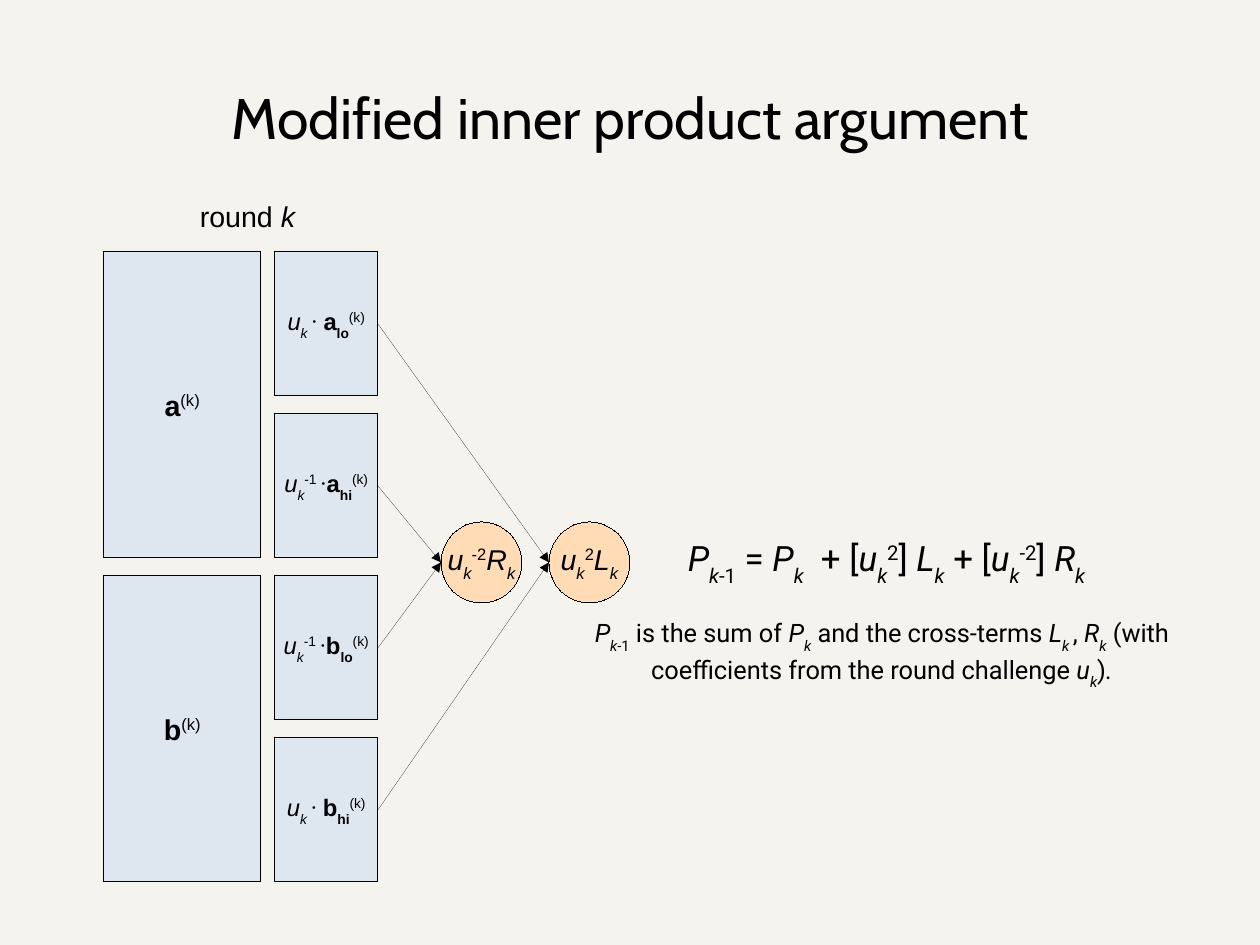
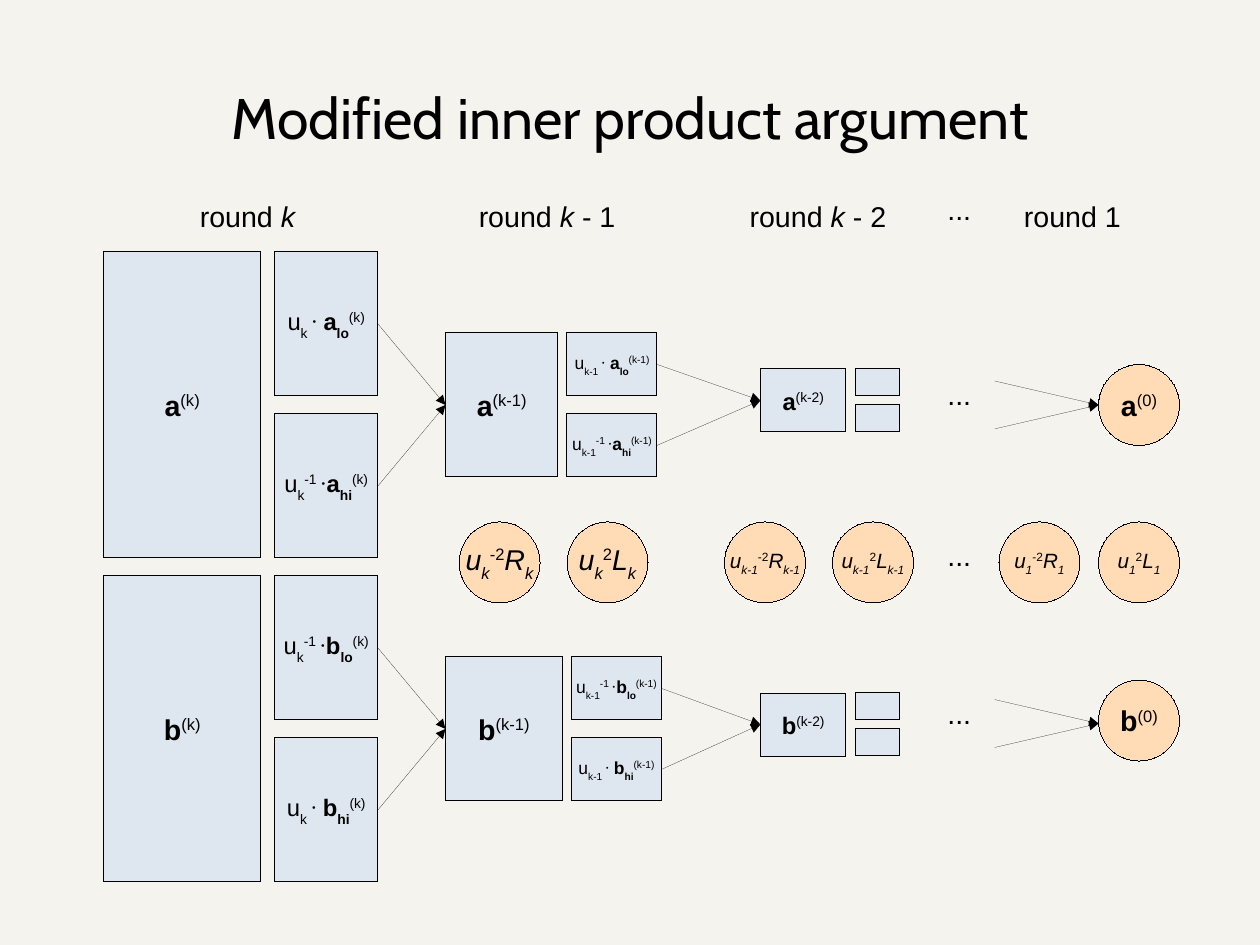
from dataclasses import dataclass

from lxml.etree import SubElement
from pptx import Presentation
from pptx.dml.color import RGBColor
from pptx.enum.shapes import MSO_CONNECTOR as Link, MSO_SHAPE as Preset
from pptx.enum.text import MSO_ANCHOR as Anchor, MSO_AUTO_SIZE as Fit, PP_ALIGN as Align
from pptx.oxml.ns import qn
from pptx.util import Pt


@dataclass(frozen=True)
class Theme:
    paper: str = "F4F3ED"
    ink: str = "000000"
    vector: str = "DEE6EF"
    cross_term: str = "FFDBB6"
    title_font: str = "Cabin"
    diagram_font: str = "Arial"
    prose_font: str = "Roboto"
    title: int = 36
    formula: int = 22
    label: int = 18
    note: int = 16
    half: int = 15
    small_term: int = 13
    small_half: int = 11


@dataclass(frozen=True)
class Round:
    """One column of the folding: a whole vector beside its two halves."""
    index: str
    left: float
    widths: dict
    height: float
    half_width: float
    side_gap: float
    split_gap: float
    size: int
    half_size: int = 0  # 0 leaves the halves unlabelled
    lift: float = 0


THEME = Theme()
TITLE = "Modified inner product argument"

# Shared geometry, in points
MIDDLES = {"a": 255.1, "b": 459.2}
TERM_MIDDLE = 354.3
DIAMETER = 51
LABEL_TOP, LABEL_HEIGHT = 121.7, 27.4
DOTS_LEFT, DOTS_WIDTH = 589.7, 29.5

ROUND_K = Round("k", 65.2, {"a": 99.2, "b": 99.2}, 192.8, 65.2, 8.5, 11.3,
                THEME.label, THEME.half)
ROUND_K1 = Round("k-1", 280.6, {"a": 70.9, "b": 73.7}, 90.7, 56.7, 5.7, 11.3,
                 THEME.label, THEME.small_half)
ROUND_K2 = Round("k-2", 479, {"a": 53.9, "b": 53.9}, 39.7, 28.3, 5.7, 5.7,
                 THEME.half, lift=2.8)


# Text: a run is (text, flags); i italic, b bold, r prose font, _ sub, ^ super
def write(shape, runs, size=THEME.label, font=THEME.diagram_font,
          align=Align.CENTER, anchor=Anchor.MIDDLE, wrap=False):
    frame = shape.text_frame
    frame.word_wrap = wrap
    frame.vertical_anchor = anchor
    paragraph = frame.paragraphs[0]
    paragraph.alignment = align
    for text, flags in runs:
        run = paragraph.add_run()
        run.text = text
        run.font.size = Pt(size)
        run.font.name = THEME.prose_font if "r" in flags else font
        run.font.color.rgb = RGBColor.from_string(THEME.ink)
        run.font.italic = "i" in flags
        run.font.bold = "b" in flags
        for flag, baseline in (("_", "-33000"), ("^", "33000")):
            if flag in flags:
                run.font._element.set("baseline", baseline)


def term(symbol, index, power="", style="i"):
    runs = [(symbol, style), (index, style + "_")]
    return runs + [(power, "^")] if power else runs


def text_area(slide, left, top, width, height, runs, **style):
    area = slide.shapes.add_textbox(Pt(left), Pt(top), Pt(width), Pt(height))
    write(area, runs, **style)
    if not area.text_frame.word_wrap:
        area.text_frame.auto_size = Fit.SHAPE_TO_FIT_TEXT
    return area


def hairline(line):
    line.color.rgb = RGBColor.from_string(THEME.ink)
    stroke = line._get_or_add_ln()
    stroke.set("w", "0")  # written out, or the style's width would apply
    return stroke


def outlined(slide, preset, left, top, width, height, fill, runs=(), **style):
    shape = slide.shapes.add_shape(preset, Pt(left), Pt(top), Pt(width), Pt(height))
    shape.shadow.inherit = False
    shape.fill.solid()
    shape.fill.fore_color.rgb = RGBColor.from_string(fill)
    hairline(shape.line)
    write(shape, runs, **style)


def arrow(slide, start, end):
    link = slide.shapes.add_connector(Link.STRAIGHT, *map(Pt, (*start, *end)))
    SubElement(hairline(link.line), qn("a:tailEnd"), type="triangle")
    SubElement(link._element.spPr, qn("a:effectLst"))


def circle(slide, left, middle, runs, size=THEME.label):
    outlined(slide, Preset.OVAL, left, middle - DIAMETER / 2, DIAMETER, DIAMETER,
             THEME.cross_term, runs, size=size)


def cross_terms(slide, index, right_left, left_left, size=THEME.label):
    for symbol, power, left in (("L", "2", left_left), ("R", "-2", right_left)):
        circle(slide, left, TERM_MIDDLE,
               term("u", index, power) + term(symbol, index), size)


def half_runs(name, part, index, style):
    inverted = (name, part) in (("a", "hi"), ("b", "lo"))
    if inverted:
        factor = term("u", index, "-1 ", style) + [("·", "r")]
    else:
        factor = term("u", index + " ", style=style) + [("· ", "r")]
    return factor + [(name, "b"), (part, "b_"), (f"({index})", "^")]


def folded_vector(slide, name, stage, style=""):
    """Draw a vector and its halves; return where arrows leave the halves."""
    top = MIDDLES[name] - stage.lift - stage.height / 2
    width = stage.widths[name]
    outlined(slide, Preset.RECTANGLE, stage.left, top, width, stage.height, THEME.vector,
             [(name, "b"), (f"({stage.index})", "^")], size=stage.size)
    half_left = stage.left + width + stage.side_gap
    half_height = (stage.height - stage.split_gap) / 2
    exits = []
    for row, part in enumerate(("lo", "hi")):
        half_top = top + row * (half_height + stage.split_gap)
        runs = half_runs(name, part, stage.index, style) if stage.half_size else ()
        outlined(slide, Preset.RECTANGLE, half_left, half_top, stage.half_width, half_height,
                 THEME.vector, runs, size=stage.half_size)
        exits.append((half_left + stage.half_width, half_top + half_height / 2))
    return exits


def round_label(slide, left, width, runs):
    text_area(slide, left, LABEL_TOP, width, LABEL_HEIGHT, runs,
              align=Align.LEFT, anchor=Anchor.TOP)


def new_slide(deck):
    slide = deck.slides.add_slide(deck.slide_layouts[6])
    heading = text_area(slide, 39.7, 23.7, 714.3, 99.4, [(TITLE, "")],
                        size=THEME.title, font=THEME.title_font, wrap=True)
    frame = heading.text_frame
    frame.margin_left = frame.margin_right = frame.margin_top = frame.margin_bottom = 0
    round_label(slide, 118.8, 74.2, [("round ", ""), ("k", "i")])
    return slide


def single_round(deck):
    slide = new_slide(deck)
    right_left, left_left = 277.8, 345.8

    # Halves pair up into the two cross-terms
    a_lo, a_hi = folded_vector(slide, "a", ROUND_K, style="i")
    b_lo, b_hi = folded_vector(slide, "b", ROUND_K, style="i")
    for start, target in ((a_lo, left_left), (b_hi, left_left),
                          (a_hi, right_left), (b_lo, right_left)):
        arrow(slide, start, (target, TERM_MIDDLE))
    cross_terms(slide, "k", right_left, left_left)

    # Explanation and formula
    note = [*term("P", "k"), ("-1", "_"), (" is the sum of ", ""), *term("P", "k"),
            (" and the cross-terms ", ""), *term("L", "k "), (", ", ""),
            *term("R", "k"), (" (with coefficients from the round challenge", ""),
            *term(" u", "k"), (")", ""), (".", "i")]
    text_area(slide, 348.5, 385.4, 414, 51.8, note, size=THEME.note,
              font=THEME.prose_font, anchor=Anchor.TOP, wrap=True)
    formula = [*term("P", "k"), ("-1", "_"), (" = ", ""), *term("P", "k"),
               ("  + [", ""), *term("u", "k", "2"), ("] ", ""), *term("L", "k"),
               (" + [", ""), *term("u", "k", "-2"), ("] ", ""), *term("R", "k")]
    text_area(slide, 426.2, 334.8, 328.3, 38.2, formula, size=THEME.formula,
              font=THEME.prose_font, align=Align.LEFT, anchor=Anchor.TOP, wrap=True)


def all_rounds(deck):
    slide = new_slide(deck)

    # Round labels
    for left, step in ((294.5, " - 1"), (465.1, " - 2")):
        round_label(slide, left, 100.5, [("round ", ""), ("k", "i"), (step, "")])
    round_label(slide, 637.9, 75.6, [("round 1", "")])

    # Each vector shrinks round by round
    stages = (ROUND_K, ROUND_K1, ROUND_K2)
    for name in MIDDLES:
        for stage, following in zip(stages, (*stages[1:], None)):
            exits = folded_vector(slide, name, stage)
            if following:
                for start in exits:
                    arrow(slide, start, (following.left, MIDDLES[name] - following.lift))

    # Final scalars
    final_left = 692
    for name, arrow_y, middle in (("a", 255.1, 255.1), ("b", 455.8, 453.9)):
        for offset in (-15.1, 15.1):
            arrow(slide, (626.5, arrow_y + offset), (final_left, arrow_y))
        circle(slide, final_left, middle, [(name, "b"), ("(0)", "^")])

    # Cross-terms of each round
    cross_terms(slide, "k", 289.2, 357.2)
    cross_terms(slide, "k-1", 456.4, 524.4, THEME.small_term)
    cross_terms(slide, "1", 629.3, final_left, THEME.small_term)

    # Omitted rounds
    for top in (117.4, 234, 335.6, 434.9):
        text_area(slide, DOTS_LEFT, top, DOTS_WIDTH, LABEL_HEIGHT, [("...", "")],
                  align=Align.LEFT, anchor=Anchor.TOP)


def main():
    deck = Presentation()
    deck.slide_width, deck.slide_height = Pt(793.7), Pt(595.3)
    backdrop = deck.slide_master.background.fill
    backdrop.solid()
    backdrop.fore_color.rgb = RGBColor.from_string(THEME.paper)
    single_round(deck)
    all_rounds(deck)
    deck.save("out.pptx")


if __name__ == "__main__":
    main()
